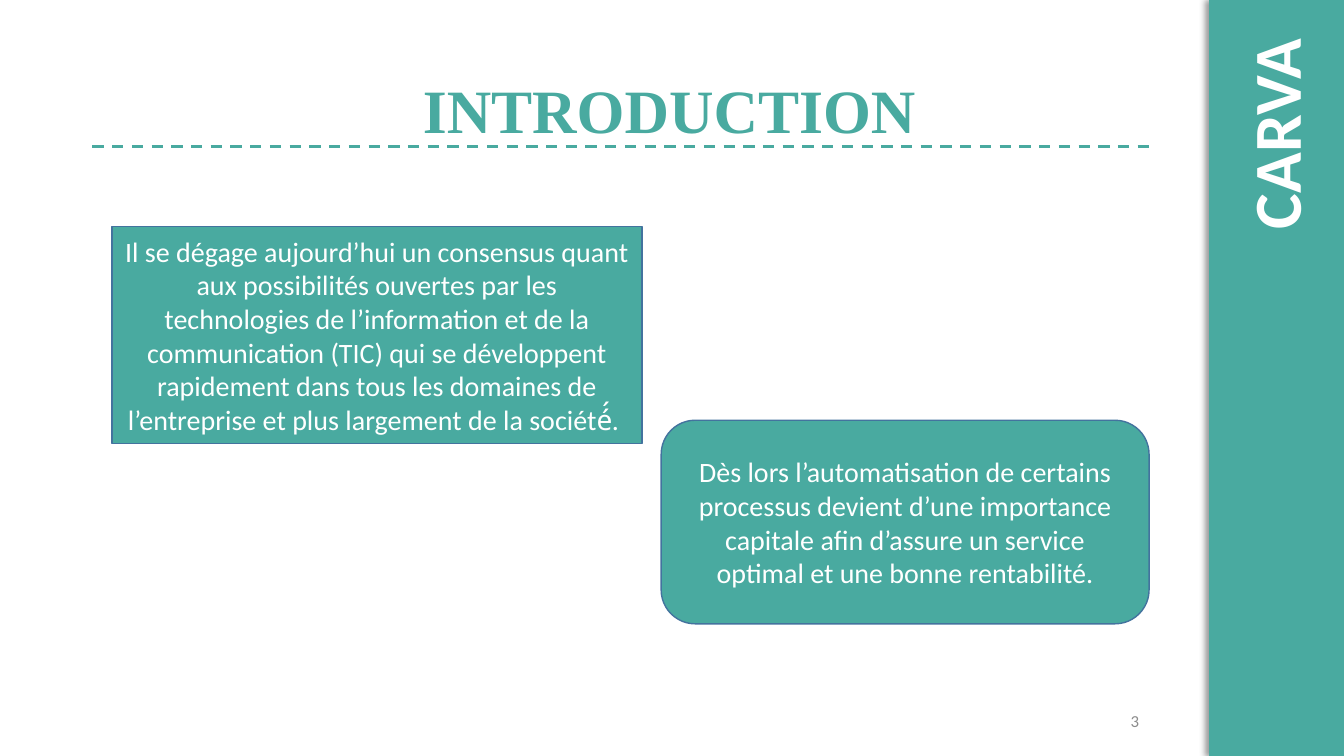
from dataclasses import dataclass

from lxml import etree
from pptx import Presentation
from pptx.dml.color import RGBColor
from pptx.enum.dml import MSO_LINE
from pptx.enum.shapes import MSO_CONNECTOR, MSO_SHAPE
from pptx.enum.text import MSO_ANCHOR, PP_ALIGN
from pptx.oxml import parse_xml
from pptx.oxml.ns import nsdecls, qn
from pptx.util import Pt

RECTANGLE = MSO_SHAPE.RECTANGLE
ROUNDED = MSO_SHAPE.ROUNDED_RECTANGLE
STRAIGHT = MSO_CONNECTOR.STRAIGHT
DASH = MSO_LINE.DASH
TOP, MIDDLE = MSO_ANCHOR.TOP, MSO_ANCHOR.MIDDLE
LEFT, CENTER, RIGHT = PP_ALIGN.LEFT, PP_ALIGN.CENTER, PP_ALIGN.RIGHT


@dataclass(frozen=True)
class Theme:
    teal: RGBColor = RGBColor(0x49, 0xAA, 0xA0)
    outline: RGBColor = RGBColor(0x43, 0x73, 0x9E)
    white: RGBColor = RGBColor(0xFF, 0xFF, 0xFF)
    grey: RGBColor = RGBColor(0x8C, 0x8C, 0x8C)
    body_font: str = "Calibri"
    title_font: str = "Times New Roman"
    banner_size: int = 48
    title_size: int = 44
    body_size: int = 20
    number_size: int = 12


THEME = Theme()


def points(*values):
    return [Pt(value) for value in values]


def write(shape, text, size, color, align, anchor=MIDDLE, font=THEME.body_font, bold=False):
    frame = shape.text_frame
    frame.word_wrap = True
    frame.vertical_anchor = anchor
    paragraph = frame.paragraphs[0]
    paragraph.alignment = align
    run = paragraph.add_run()
    run.text = text
    run.font.size = Pt(size)
    run.font.name = font
    run.font.bold = bold
    run.font.color.rgb = color
    return paragraph


def add_sidebar(slide, box):
    shape = slide.shapes.add_shape(RECTANGLE, *points(*box))
    shape.fill.solid()
    shape.fill.fore_color.rgb = THEME.teal
    shape.line.fill.background()
    shape.shadow.inherit = False
    effects = shape._element.spPr.find(qn("a:effectLst"))
    effects.append(parse_xml(
        f'<a:outerShdw {nsdecls("a")} blurRad="{Pt(4)}" dist="{Pt(3)}" dir="10800000" '
        'algn="r" rotWithShape="0"><a:srgbClr val="000000"><a:alpha val="40000"/>'
        '</a:srgbClr></a:outerShdw>'))


def add_banner(slide, box, text):
    shape = slide.shapes.add_textbox(*points(*box))
    shape.rotation = 270
    write(shape, text, THEME.banner_size, THEME.white, LEFT, TOP, bold=True)


def add_title(slide, box, text, inset):
    shape = slide.shapes.add_textbox(*points(*box))
    shape.text_frame.margin_left = Pt(inset)
    paragraph = write(shape, text, THEME.title_size, THEME.teal, LEFT,
                      font=THEME.title_font, bold=True)
    paragraph.line_spacing = 0.9


def add_dashed_rule(slide, left, right, top):
    rule = slide.shapes.add_connector(STRAIGHT, *points(left, top, right, top))
    rule.line.color.rgb = THEME.teal
    rule.line.width = Pt(2)
    rule.line.dash_style = DASH
    etree.SubElement(rule._element.spPr, qn("a:effectLst"))


def add_panel(slide, kind, box, text):
    shape = slide.shapes.add_shape(kind, *points(*box))
    shape.shadow.inherit = False
    shape.fill.solid()
    shape.fill.fore_color.rgb = THEME.teal
    shape.line.color.rgb = THEME.outline
    shape.line.width = Pt(1)
    write(shape, text, THEME.body_size, THEME.white, CENTER)


def add_slide_number(slide, box, text):
    shape = slide.shapes.add_textbox(*points(*box))
    write(shape, text, THEME.number_size, THEME.grey, RIGHT)


def main():
    presentation = Presentation()
    presentation.slide_width, presentation.slide_height = points(960, 540)
    slide = presentation.slides.add_slide(presentation.slide_layouts[6])

    add_sidebar(slide, (863.6, 0, 96.4, 540))
    add_banner(slide, (826.6, 54, 167.8, 65.5), "CARVA")
    add_title(slide, (66, 28.8, 755.3, 104.4), "INTRODUCTION", 236)
    add_slide_number(slide, (622.8, 500.4, 198, 28.8), "3")
    add_dashed_rule(slide, 66, 820.8, 104.4)
    add_panel(slide, RECTANGLE, (79.9, 162, 378.7, 154.8),
              "Il se dégage aujourd’hui un consensus quant aux possibilités ouvertes "
              "par les technologies de l’information et de la communication (TIC) qui "
              "se développent rapidement dans tous les domaines de l’entreprise et "
              "plus largement de la société́. ")
    add_panel(slide, ROUNDED, (472.3, 300.2, 348.5, 145.4),
              "Dès lors l’automatisation de certains processus devient d’une "
              "importance capitale afin d’assure un service optimal et une bonne "
              "rentabilité.")

    presentation.save("out.pptx")


if __name__ == "__main__":
    main()
